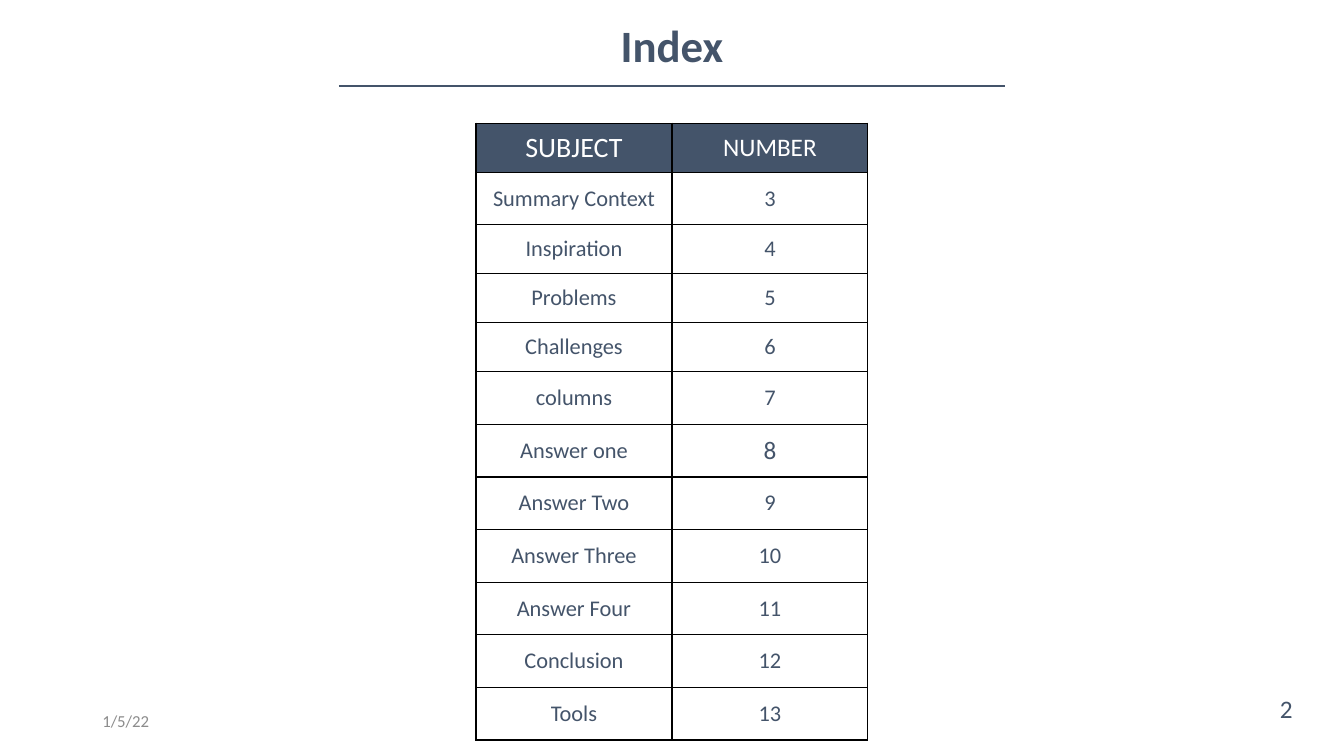
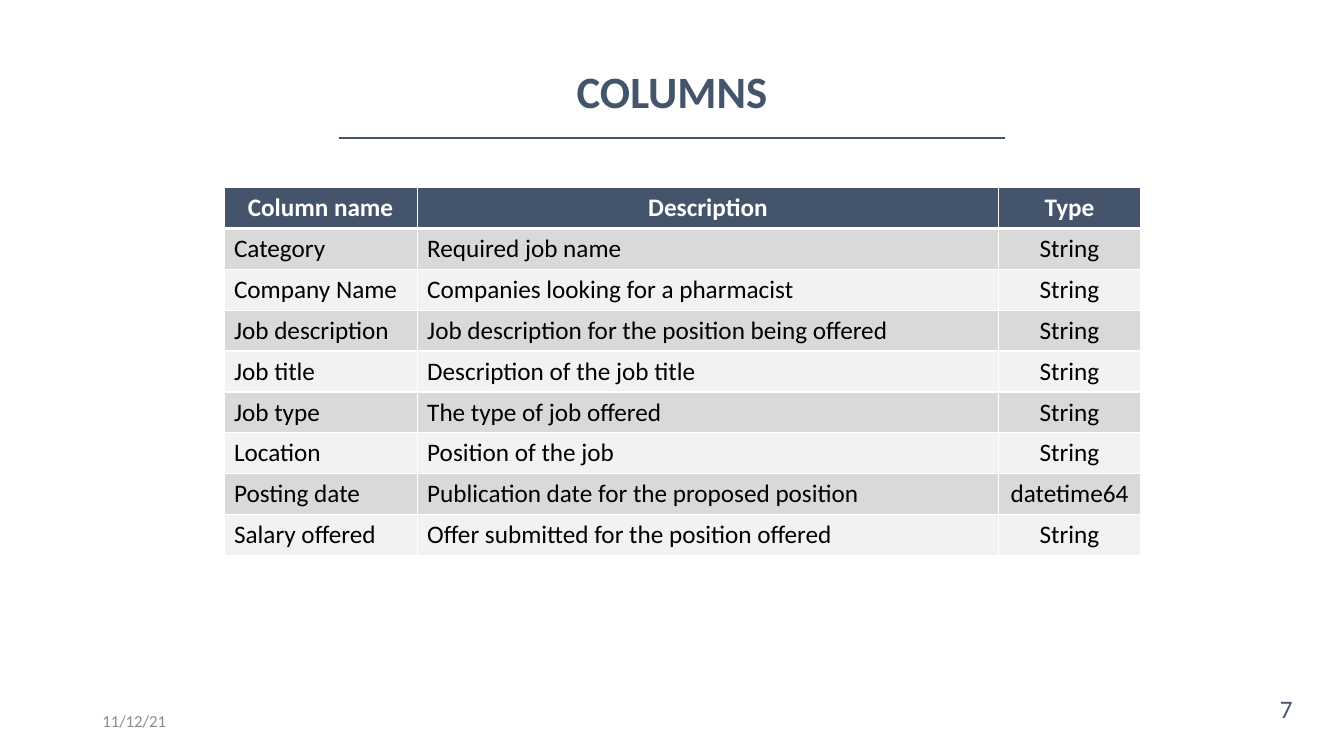
from lxml import etree
from pptx import Presentation
from pptx.dml.color import RGBColor
from pptx.enum import shapes, text
from pptx.oxml import ns
from pptx.util import Pt

COLORS = {
    "navy": "44546A", "white": "FFFFFF", "black": "000000",
    "date": "8C8C8C", "dark_band": "D9D9D9", "light_band": "F2F2F2",
}
FONT = "Calibri"
SLIDE_W, SLIDE_H = 960, 540
TITLE_LEFT, TITLE_W, TITLE_H = 242, 476, 46
LEFT, CENTER = text.PP_ALIGN.LEFT, text.PP_ALIGN.CENTER
TOP, MIDDLE = text.MSO_ANCHOR.TOP, text.MSO_ANCHOR.MIDDLE

INDEX_ROWS = [
    ("SUBJECT", "NUMBER"),
    ("Summary Context", "3"),
    ("Inspiration", "4"),
    ("Problems", "5"),
    ("Challenges", "6"),
    ("columns", "7"),
    ("Answer one", "8"),
    ("Answer Two", "9"),
    ("Answer Three", "10"),
    ("Answer Four", "11"),
    ("Conclusion", "12"),
    ("Tools", "13"),
]
COLUMN_ROWS = [
    ("Column name", "Description", "Type"),
    ("Category", "Required job name", "String"),
    ("Company Name", "Companies looking for a pharmacist", "String"),
    ("Job description", "Job description for the position being offered", "String"),
    ("Job title", "Description of the job title", "String"),
    ("Job type", "The type of job offered", "String"),
    ("Location", "Position of the job", "String"),
    ("Posting date", "Publication date for the proposed position", "datetime64"),
    ("Salary offered", "Offer submitted for the position offered", "String"),
]


def rgb(name):
    return RGBColor.from_string(COLORS[name])


def write(frame, words, size, color, bold=False, align=LEFT):
    frame.text = words
    paragraph = frame.paragraphs[0]
    paragraph.alignment = align
    font = paragraph.runs[0].font
    font.name, font.size, font.bold = FONT, Pt(size), bold
    font.color.rgb = rgb(color)


def add_title(slide, words, top, rule_y):
    title = slide.shapes.title
    title.left, title.top = Pt(TITLE_LEFT), Pt(top)
    title.width, title.height = Pt(TITLE_W), Pt(TITLE_H)
    write(title.text_frame, words, 32, "navy", True, CENTER)
    title.text_frame.auto_size = text.MSO_AUTO_SIZE.NONE
    title.text_frame.vertical_anchor = MIDDLE
    rule = slide.shapes.add_connector(
        shapes.MSO_CONNECTOR.STRAIGHT, Pt(TITLE_LEFT), Pt(rule_y),
        Pt(TITLE_LEFT + TITLE_W), Pt(rule_y))
    rule.line.color.rgb = rgb("navy")
    rule.line.width = Pt(1.5)
    etree.SubElement(rule._element.spPr, ns.qn("a:effectLst"))


def add_label(slide, words, box, size, color, anchor, wrap):
    label = slide.shapes.add_textbox(*map(Pt, box))
    label.text_frame.word_wrap = wrap
    label.text_frame.vertical_anchor = anchor
    write(label.text_frame, words, size, color)


def add_footer(slide, date, number):
    add_label(slide, date, (66, 500.5, 216, 28.8), 12, "date", MIDDLE, True)
    add_label(slide, number, (907.2, 492, 24, 29), 18, "navy", TOP, False)


def add_grid(slide, left, top, widths, heights):
    grid = slide.shapes.add_table(
        len(heights), len(widths), Pt(left), Pt(top),
        Pt(sum(widths)), Pt(sum(heights))).table
    grid.horz_banding = False
    for column, width in zip(grid.columns, widths):
        column.width = Pt(width)
    for row, height in zip(grid.rows, heights):
        row.height = Pt(height)
    return grid


def style_cell(cell, fill, border, top=1, bottom=1):
    properties = cell._tc.get_or_add_tcPr()
    for side, width in (("L", 1), ("R", 1), ("T", top), ("B", bottom)):
        line = etree.SubElement(
            properties, ns.qn(f"a:ln{side}"), w=str(int(Pt(width))))
        solid = etree.SubElement(line, ns.qn("a:solidFill"))
        etree.SubElement(solid, ns.qn("a:srgbClr"), val=COLORS[border])
    cell.fill.solid()
    cell.fill.fore_color.rgb = rgb(fill)


def add_index_table(slide, left, top):
    short_rows = (0, 2, 3, 4)
    heights = [35 if r in short_rows else 37.6 for r in range(len(INDEX_ROWS))]
    grid = add_grid(slide, left, top, (140, 140), heights)
    sizes = {(0, 0): 20, (0, 1): 18, (6, 1): 18}
    for r, entry in enumerate(INDEX_ROWS):
        for c, words in enumerate(entry):
            cell = grid.cell(r, c)
            style_cell(cell, "white" if r else "navy", "black")
            cell.vertical_anchor = MIDDLE
            cell.margin_left = cell.margin_right = Pt(3)
            cell.margin_top = cell.margin_bottom = Pt(0)
            write(cell.text_frame, words, sizes.get((r, c), 16),
                  "navy" if r else "white", align=CENTER)


def add_columns_table(slide, left, top):
    heights = [29.2] * len(COLUMN_ROWS)
    grid = add_grid(slide, left, top, (138, 415.5, 101), heights)
    bands = ("light_band", "dark_band")
    for r, entry in enumerate(COLUMN_ROWS):
        header = r == 0
        for c, words in enumerate(entry):
            cell = grid.cell(r, c)
            style_cell(cell, "navy" if header else bands[r % 2], "white",
                       top=3 if r == 1 else 1, bottom=3 if header else 1)
            write(cell.text_frame, words, 18, "white" if header else "black",
                  header, CENTER if header or c == 2 else LEFT)


def build_index(slide):
    add_title(slide, "Index", 8.6, 61.5)
    add_index_table(slide, 340, 88)
    add_footer(slide, "1/5/22", "2")


def build_columns(slide):
    add_title(slide, "COLUMNS", 42, 98.6)
    add_columns_table(slide, 160, 134)
    add_footer(slide, "11/12/21", "7")


def main():
    deck = Presentation()
    deck.slide_width, deck.slide_height = Pt(SLIDE_W), Pt(SLIDE_H)
    title_only = deck.slide_layouts[5]
    for build in (build_index, build_columns):
        build(deck.slides.add_slide(title_only))
    deck.save("out.pptx")


if __name__ == "__main__":
    main()
